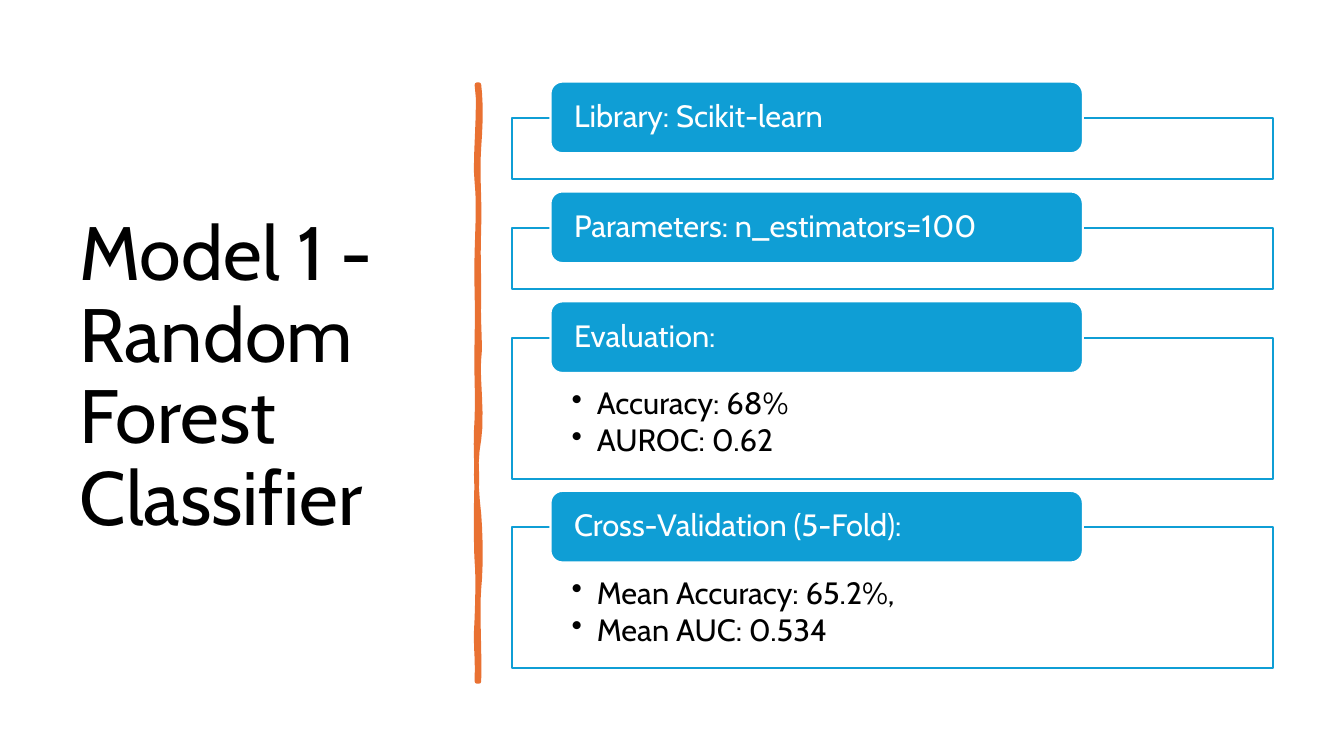
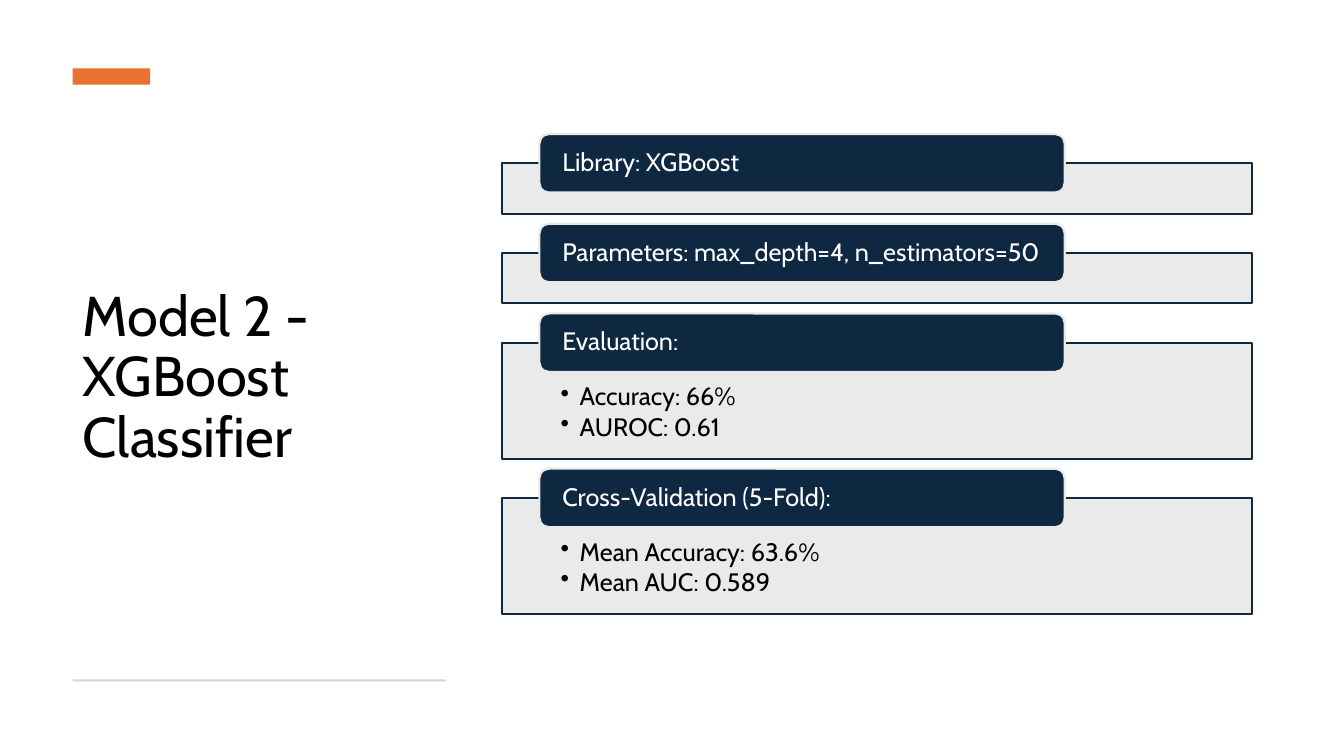
from lxml import etree
from pptx import Presentation
from pptx.dml.color import RGBColor
from pptx.enum.shapes import MSO_SHAPE
from pptx.enum.text import MSO_ANCHOR, PP_ALIGN
from pptx.oxml.ns import qn
from pptx.util import Pt

PX = 9144  # EMU per px, 100 px to the inch
RECTANGLE = MSO_SHAPE.RECTANGLE
ROUNDED = MSO_SHAPE.ROUNDED_RECTANGLE
MIDDLE, TOP = MSO_ANCHOR.MIDDLE, MSO_ANCHOR.TOP
LEFT = PP_ALIGN.LEFT

FONT = "Cabin"
BLACK, WHITE, ORANGE = "000000", "FFFFFF", "E97132"
BLUE, NAVY, PALE_GREY, RULE_GREY = "0F9ED5", "0E2841", "E8E8E8", "D5D5D5"

# Card list sizes in px, text size in points
WIDE_CARDS = dict(left=508, top=117, width=755, short=61, tall=140, gap=48,
                  tab_left=546, tab_width=528, tab_height=71, tab_rise=36,
                  size=22, insets=(59, 50, 59, 17), indent=25,
                  accent=BLUE, pale=WHITE)
COMPACT_CARDS = dict(left=498, top=162, width=744, short=50, tall=115, gap=39,
                     tab_left=535, tab_width=521, tab_height=58, tab_rise=29,
                     size=18, insets=(58, 41, 58, 14), indent=19,
                     accent=NAVY, pale=PALE_GREY)
TAB_INSETS = (20, 0, 10, 0)

# Brush stroke: start point, then cubic curves (two controls and an end), in px
STROKE_START = (475, 84)
STROKE_CURVES = [
    (477, 102, 477, 119, 475, 146), (473, 173, 476, 195, 475, 226),
    (474, 257, 475, 262, 475, 294), (474, 325, 477, 342, 475, 356),
    (473, 370, 479, 414, 475, 436), (471, 457, 472, 484, 475, 510),
    (477, 536, 477, 564, 475, 584), (473, 603, 476, 650, 475, 676),
    (474, 676, 473, 676, 473, 676), (474, 646, 471, 644, 473, 613),
    (474, 583, 474, 570, 473, 557), (472, 544, 472, 495, 473, 477),
    (473, 459, 471, 445, 473, 415), (474, 386, 472, 373, 473, 335),
    (474, 298, 472, 281, 473, 250), (474, 218, 475, 200, 473, 181),
    (470, 163, 477, 104, 473, 84),
]


def px(value):
    return round(value * PX)


def color(hex_string):
    return RGBColor.from_string(hex_string)


def paint(shape, fill, line=None, line_width=1.5, alpha=None):
    """Set fill and outline, without a shadow."""
    shape.shadow.inherit = False
    shape.fill.solid()
    shape.fill.fore_color.rgb = color(fill)
    if alpha:
        tint = shape.fill._xPr.find(qn("a:solidFill"))[0]
        etree.SubElement(tint, qn("a:alpha"), val=str(alpha * 1000))
    if line:
        shape.line.color.rgb = color(line)
        shape.line.width = Pt(line_width)
    else:
        shape.line.fill.background()


def add_block(slide, kind, box, fill, **style):
    shape = slide.shapes.add_shape(kind, *map(px, box))
    paint(shape, fill, **style)
    return shape


def add_bullet(paragraph, indent):
    properties = paragraph._p.get_or_add_pPr()
    properties.set("marL", str(px(indent)))
    properties.set("indent", str(px(-indent)))
    etree.SubElement(properties, qn("a:buChar"), char="•")


def write(shape, lines, size, text_color, insets, anchor=MIDDLE, indent=0):
    """Fill a shape with left-aligned lines, bulleted if indented."""
    frame = shape.text_frame
    frame.word_wrap = True
    frame.vertical_anchor = anchor
    (frame.margin_left, frame.margin_top,
     frame.margin_right, frame.margin_bottom) = map(px, insets)
    frame.text = "\n".join(lines)
    for paragraph in frame.paragraphs:
        if indent:
            add_bullet(paragraph, indent)
            paragraph.space_after = Pt(size * 0.13)
        paragraph.alignment = LEFT
        paragraph.line_spacing = 0.9
        paragraph.font.name = FONT
        paragraph.font.size = Pt(size)
        paragraph.font.color.rgb = color(text_color)


def add_title(slide, text, box, size):
    title = slide.shapes.add_textbox(*map(px, box))
    write(title, [text], size, BLACK, (10, 5, 10, 5))


def add_cards(slide, cards, layout):
    """Stack cards, each a frame with a heading tab and optional bullets."""
    top = layout["top"]
    for heading, bullets in cards:
        height = layout["tall"] if bullets else layout["short"]
        card = add_block(slide, RECTANGLE,
                         (layout["left"], top, layout["width"], height),
                         layout["pale"], line=layout["accent"], alpha=90)
        if bullets:
            write(card, bullets, layout["size"], BLACK, layout["insets"],
                  TOP, layout["indent"])
        tab = add_block(slide, ROUNDED,
                        (layout["tab_left"], top - layout["tab_rise"],
                         layout["tab_width"], layout["tab_height"]),
                        layout["accent"], line=layout["pale"])
        write(tab, [heading], layout["size"], WHITE, TAB_INSETS)
        top += height + layout["gap"]


def curve_points(start, curve, steps=6):
    """Points along a cubic curve, after its start."""
    points = [start, curve[:2], curve[2:4], curve[4:]]
    for step in range(1, steps + 1):
        t = step / steps
        weights = ((1 - t) ** 3, 3 * t * (1 - t) ** 2, 3 * t * t * (1 - t), t ** 3)
        yield tuple(px(sum(weight * point[axis]
                           for weight, point in zip(weights, points)))
                    for axis in (0, 1))


def add_brush_stroke(slide):
    builder = slide.shapes.build_freeform(*map(px, STROKE_START))
    start = STROKE_START
    for curve in STROKE_CURVES:
        builder.add_line_segments(curve_points(start, curve), close=False)
        start = curve[4:]
    builder.add_line_segments([tuple(map(px, STROKE_START))], close=True)
    paint(builder.convert_to_shape(), ORANGE, line=ORANGE, line_width=3.25)


def build_random_forest(slide):
    add_title(slide, "Model 1 - Random Forest Classifier", (69, 70, 374, 611), 54)
    add_brush_stroke(slide)
    add_cards(slide, [
        ("Library: Scikit-learn", []),
        ("Parameters: n_estimators=100", []),
        ("Evaluation:", ["Accuracy: 68%", "AUROC: 0.62"]),
        ("Cross-Validation (5-Fold):", ["Mean Accuracy: 65.2%,", "Mean AUC: 0.534"]),
    ], WIDE_CARDS)


def build_xgboost(slide):
    add_title(slide, "Model 2 - XGBoost Classifier", (72, 105, 370, 541), 40)
    # Accent bar and bottom rule
    add_block(slide, RECTANGLE, (72, 68, 77, 16), ORANGE)
    add_block(slide, RECTANGLE, (72, 674, 370, 2), RULE_GREY)
    add_cards(slide, [
        ("Library: XGBoost", []),
        ("Parameters: max_depth=4, n_estimators=50", []),
        ("Evaluation:", ["Accuracy: 66%", "AUROC: 0.61"]),
        ("Cross-Validation (5-Fold):", ["Mean Accuracy: 63.6%", "Mean AUC: 0.589"]),
    ], COMPACT_CARDS)


def main():
    presentation = Presentation()
    presentation.slide_width = px(1333)
    presentation.slide_height = px(750)
    blank = presentation.slide_layouts[6]
    for build in (build_random_forest, build_xgboost):
        build(presentation.slides.add_slide(blank))
    presentation.save("out.pptx")


if __name__ == "__main__":
    main()
